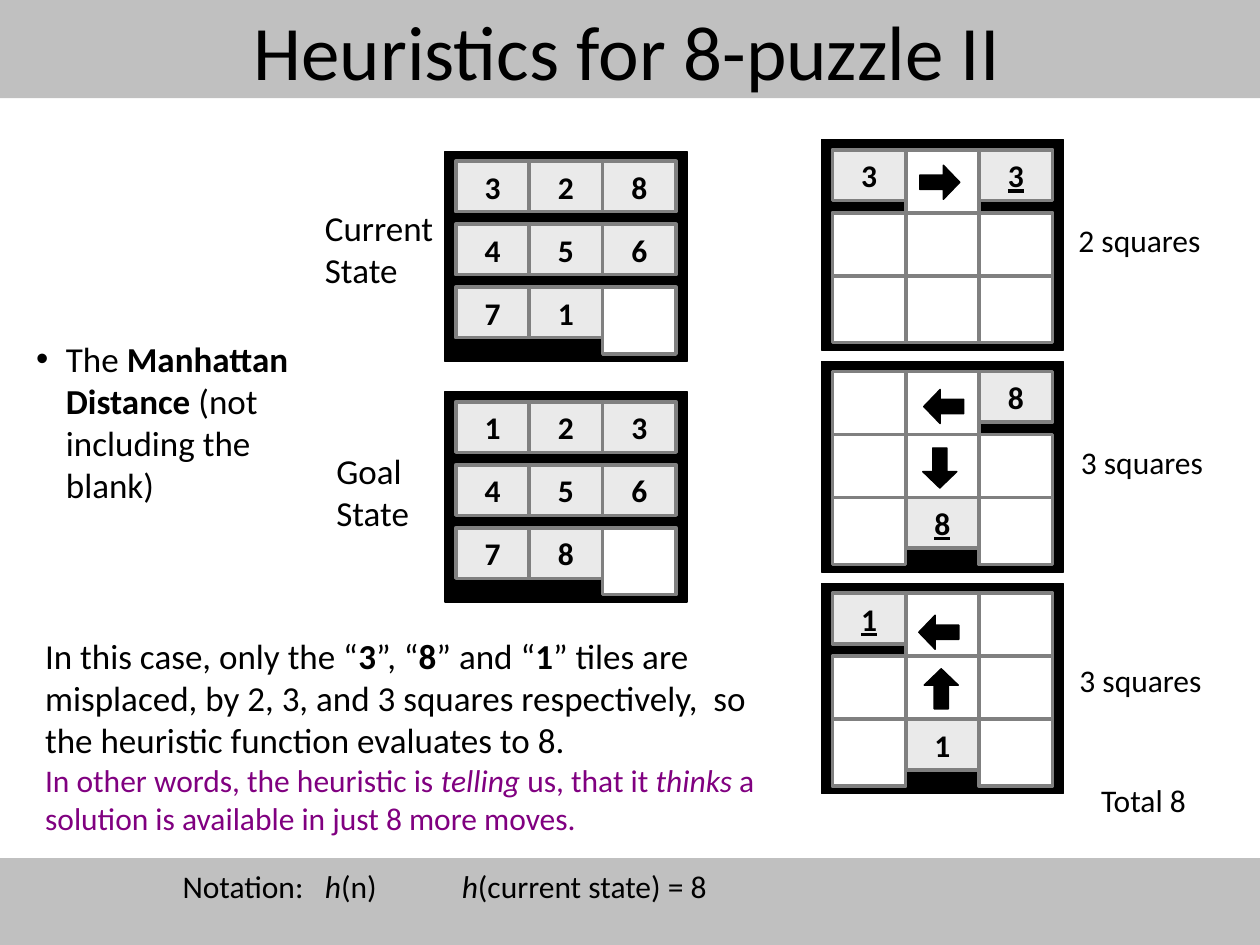
import pptx
import pptx.util
import pptx.dml.color
import pptx.enum.shapes
import pptx.enum.text
import lxml.etree

Cm, Pt = pptx.util.Cm, pptx.util.Pt
Kind = pptx.enum.shapes.MSO_SHAPE
Align = pptx.enum.text.PP_ALIGN
Anchor = pptx.enum.text.MSO_ANCHOR
BLACK, WHITE, SILVER = "000000", "FFFFFF", "C0C0C0"
GREY, TILE, PURPLE = "808080", "EAEAEA", "800080"


def color(code):
    return pptx.dml.color.RGBColor.from_string(code)


def child(node, tag, **attrs):
    return lxml.etree.SubElement(node, pptx.oxml.ns.qn(tag), attrs)


def write(para, runs, size=18, ink=BLACK, align=None, font="Calibri"):
    """Fill a paragraph; each run is text or (text, flags from "biu")."""
    para.alignment = align
    for item in [runs] if isinstance(runs, str) else runs:
        words, flags = (item, "") if isinstance(item, str) else item
        run = para.add_run()
        run.text = words
        face = run.font
        face.name, face.size = font, Pt(size)
        face.color.rgb = color(ink)
        face.bold, face.italic, face.underline = ("b" in flags, "i" in flags,
                                                  "u" in flags)


class Slide:
    cell, row = 1.48, 1.27          # pitch of the puzzle grid
    full, low = 1.35, 1.02          # height of a blank and of a tile

    def __init__(self, deck):
        self.page = deck.slides.add_slide(deck.slide_layouts[5])
        self.shapes = self.page.shapes

    def shape(self, kind, x, y, w, h, fill, line=None, width=0.75, home=None):
        item = (home or self.shapes).add_shape(kind, Cm(x), Cm(y), Cm(w), Cm(h))
        item.shadow.inherit = False
        item.fill.solid()
        item.fill.fore_color.rgb = color(fill)
        if line:
            item.line.color.rgb = color(line)
            item.line.width = Pt(width)
        else:
            item.line.fill.background()
        return item

    def band(self, y, h):
        return self.shape(Kind.RECTANGLE, 0, y, 25.4, h, SILVER)

    def title(self, words, x, y, w, h):
        item = self.shapes.title
        item.left, item.top, item.width, item.height = Cm(x), Cm(y), Cm(w), Cm(h)
        item.text_frame.vertical_anchor = Anchor.MIDDLE
        write(item.text_frame.paragraphs[0], words, size=44, align=Align.CENTER)
        return item

    def text(self, x, y, w, h, runs, wrap=True, **style):
        frame = self.shapes.add_textbox(Cm(x), Cm(y), Cm(w), Cm(h)).text_frame
        frame.word_wrap = wrap
        write(frame.paragraphs[0], runs, **style)
        return frame

    def board(self, x, y, tiles, goal=None):
        """Draw nine cells row by row; a dot is blank, goal is underlined."""
        home = self.shapes.add_group_shape().shapes
        self.shape(Kind.RECTANGLE, x, y, 4.88, 4.24, BLACK, BLACK, home=home)
        for spot, mark in enumerate(tiles):
            down, over = divmod(spot, 3)
            blank = mark == "."
            tile = self.shape(
                Kind.RECTANGLE, x + 0.22 + over * self.cell,
                y + 0.2 + down * self.row, self.cell,
                self.full if blank else self.low,
                WHITE if blank else TILE, GREY, 2, home)
            if not blank:
                frame = tile.text_frame
                frame.vertical_anchor = Anchor.MIDDLE
                write(frame.paragraphs[0],
                      [(mark, "bu" if spot == goal else "b")],
                      align=Align.CENTER)

    def arrow(self, x, y, turn):
        item = self.shape(Kind.RIGHT_ARROW, x, y, 0.81, 0.69, BLACK, BLACK)
        item.adjustments[0], item.adjustments[1] = 0.42, 0.48
        item.rotation = turn


def main():
    deck = pptx.Presentation()
    deck.slide_width, deck.slide_height = Cm(25.4), Cm(19.05)
    page = Slide(deck)

    head = page.title("Heuristics for 8-puzzle II", 1.85, -0.58, 21.59, 3.18)
    head.element.addprevious(page.band(0, 1.98).element)

    point = page.text(0.48, 6.68, 5.87, 3.66, [
        "The ", ("Manhattan Distance", "b"), " (not including the blank)"],
        size=20)
    props = point.paragraphs[0]._p.get_or_add_pPr()
    props.set("marL", str(Cm(0.6)))
    props.set("indent", str(-Cm(0.6)))
    child(props, "a:buFont", typeface="Arial")
    child(props, "a:buChar", char="•")

    case = page.text(0.66, 12.67, 15.39, 4.32, [
        "In this case, only the “", ("3", "b"), "”, “", ("8", "b"), "” and “",
        ("1", "b"), "” tiles are misplaced, by 2, 3, and 3 squares "
        "respectively,  so the heuristic function evaluates to 8."], size=20)
    write(case.add_paragraph(), [
        "In other words, the heuristic is ", ("telling", "i"),
        " us, that it ", ("thinks", "i"),
        " a solution is available in just 8 more moves."], ink=PURPLE)

    page.board(8.97, 3.05, "32845671.")
    page.board(8.97, 7.9, "12345678.")
    page.text(6.53, 8.94, 2.95, 1.96, "Goal State", size=20)
    page.text(6.3, 4.04, 3.3, 1.96, "Current State", size=20)

    moves = [("3.3......", 2), ("..8....8.", 7), ("1......1.", 0)]
    for step, (tiles, goal) in enumerate(moves):
        page.board(16.56, 2.82 + step * 4.47, tiles, goal)

    for x, y, turn in [(18.54, 3.33, 0), (18.57, 13.54, 270),
                       (18.52, 12.4, 180), (18.54, 9.09, 90),
                       (18.62, 7.85, 180)]:
        page.arrow(x, y, turn)

    for x, y, w, words in [(21.49, 4.34, 2.97, "2 squares"),
                           (21.54, 8.81, 2.97, "3 squares"),
                           (21.51, 13.21, 2.97, "3 squares"),
                           (21.95, 15.62, 2.29, "Total 8")]:
        page.text(x, y, w, 1.02, words, wrap=False)

    page.band(17.3, 1.75)
    note = page.text(3.43, 17.35, 11.28, 1.02, [
        "Notation:\t", ("h", "i"), "(n)\t", ("h", "i"),
        "(current state) = 8"])
    stops = child(note.paragraphs[0]._p.get_or_add_pPr(), "a:tabLst")
    for stop in (2.87, 5.63):
        child(stops, "a:tab", pos=str(Cm(stop)), algn="l")

    deck.save("out.pptx")


if __name__ == "__main__":
    main()
